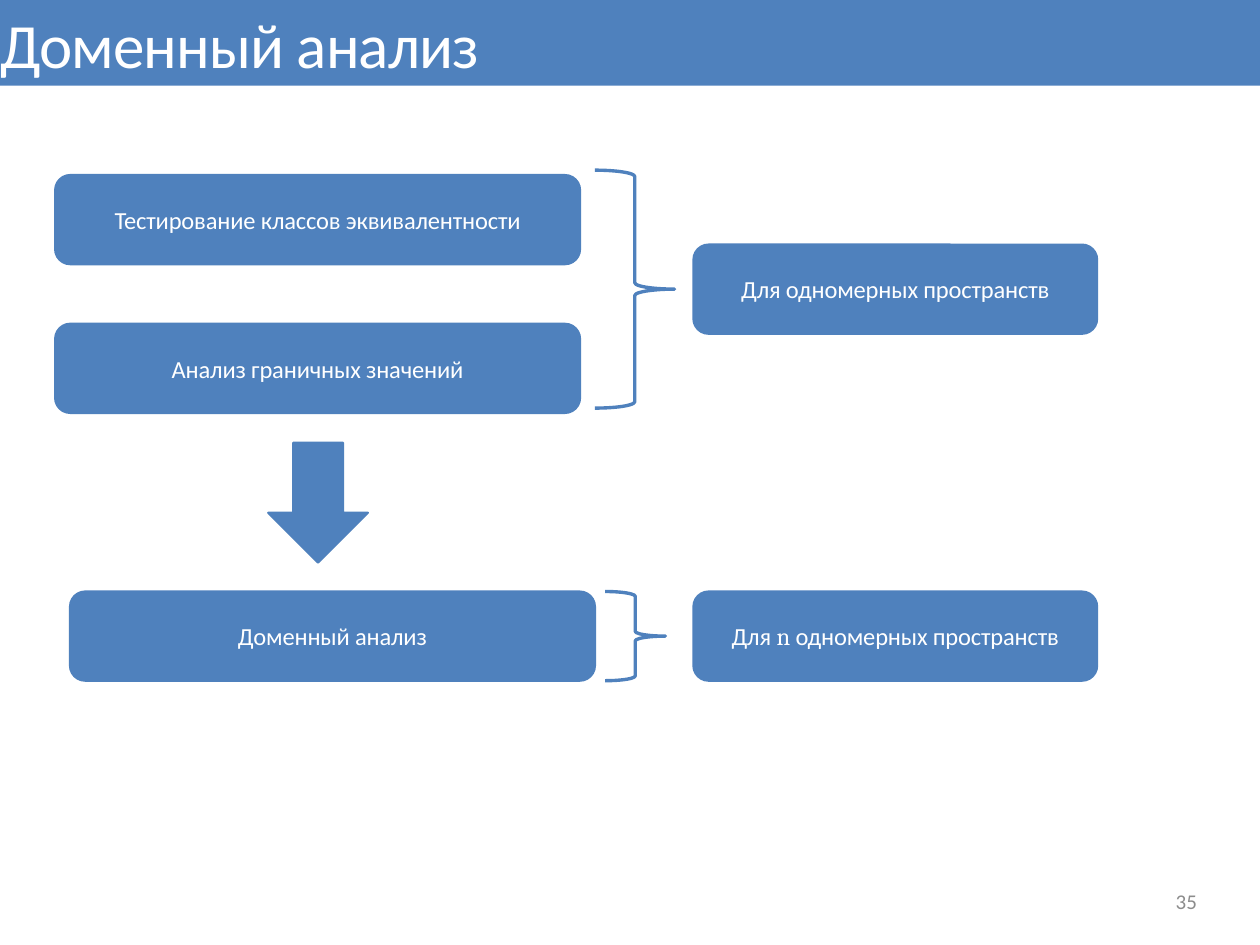
from pptx import Presentation
from pptx.dml.color import RGBColor
from pptx.enum.shapes import MSO_SHAPE as Preset
from pptx.enum.text import MSO_ANCHOR as Anchor, MSO_AUTO_SIZE as AutoSize, PP_ALIGN as Align
from pptx.util import Pt

BLUE, WHITE, GREY = "4F81BD", "FFFFFF", "8C8C8C"


def color(hex_code):
    return RGBColor.from_string(hex_code)


def style_text(shape, text, size, text_color, align):
    frame = shape.text_frame
    frame.text = text
    frame.word_wrap = True
    frame.auto_size = AutoSize.NONE
    frame.vertical_anchor = Anchor.MIDDLE
    frame.margin_left = frame.margin_right = frame.margin_top = frame.margin_bottom = 0
    para = frame.paragraphs[0]
    para.alignment = align
    for span in para.runs:
        span.font.name = "Calibri"
        span.font.size = Pt(size)
        span.font.color.rgb = color(text_color)
    return para


deck = Presentation()
deck.slide_width, deck.slide_height = Pt(720), Pt(540)
page = deck.slides.add_slide(deck.slide_layouts[5])

title = page.shapes.title
title.left, title.top, title.width, title.height = Pt(0), Pt(0), Pt(720), Pt(49)
title.fill.solid()
title.fill.fore_color.rgb = color(BLUE)
title_para = style_text(title, "Доменный анализ", 36, WHITE, Align.LEFT)
title_para.runs[0]._r.get_or_add_rPr().set("spc", "-50")

# Each box: left, top, width, text pieces
BOX_HEIGHT = 51
boxes = [
    (31.5, 100, 300, ["Тестирование классов эквивалентности"]),
    (31.5, 185, 300, ["Анализ граничных значений"]),
    (396.25, 139.75, 230.75, ["Для одномерных пространств"]),
    (40, 338, 300, ["Доменный анализ"]),
    (396.25, 338, 230.75, ["Для ", "n ", "одномерных пространств"]),
]
for left, top, width, pieces in boxes:
    box = page.shapes.add_shape(Preset.ROUNDED_RECTANGLE, Pt(left), Pt(top), Pt(width), Pt(BOX_HEIGHT))
    box.shadow.inherit = False
    box.adjustments[0] = 0.17
    box.fill.solid()
    box.fill.fore_color.rgb = color(BLUE)
    box.line.color.rgb = color(BLUE)
    box.line.width = Pt(1.2)
    para = style_text(box, pieces[0], 14, WHITE, Align.CENTER)
    for piece in pieces[1:]:
        span = para.add_run()
        span.text = piece
        span.font.name = "Cambria" if piece == "n " else "Calibri"
        span.font.size = Pt(14)
        span.font.color.rgb = color(WHITE)
    for span in para.runs:
        span._r.get_or_add_rPr().set("spc", "-10")

braces = [(340, 97.25, 45.5, 136), (345.75, 338, 34.5, 51)]
for left, top, width, height in braces:
    brace = page.shapes.add_shape(Preset.RIGHT_BRACE, Pt(left), Pt(top), Pt(width), Pt(height))
    brace.shadow.inherit = False
    brace.adjustments[0] = 0.08
    brace.fill.background()
    brace.line.color.rgb = color(BLUE)
    brace.line.width = Pt(1.92)

arrow = page.shapes.add_shape(Preset.DOWN_ARROW, Pt(153.25), Pt(253), Pt(57), Pt(68.5))
arrow.shadow.inherit = False
arrow.fill.solid()
arrow.fill.fore_color.rgb = color(BLUE)
arrow.line.color.rgb = color(BLUE)
arrow.line.width = Pt(1.2)

page_number = page.shapes.add_textbox(Pt(516), Pt(500.5), Pt(168), Pt(29))
style_text(page_number, "35", 12, GREY, Align.RIGHT)

deck.save("out.pptx")
